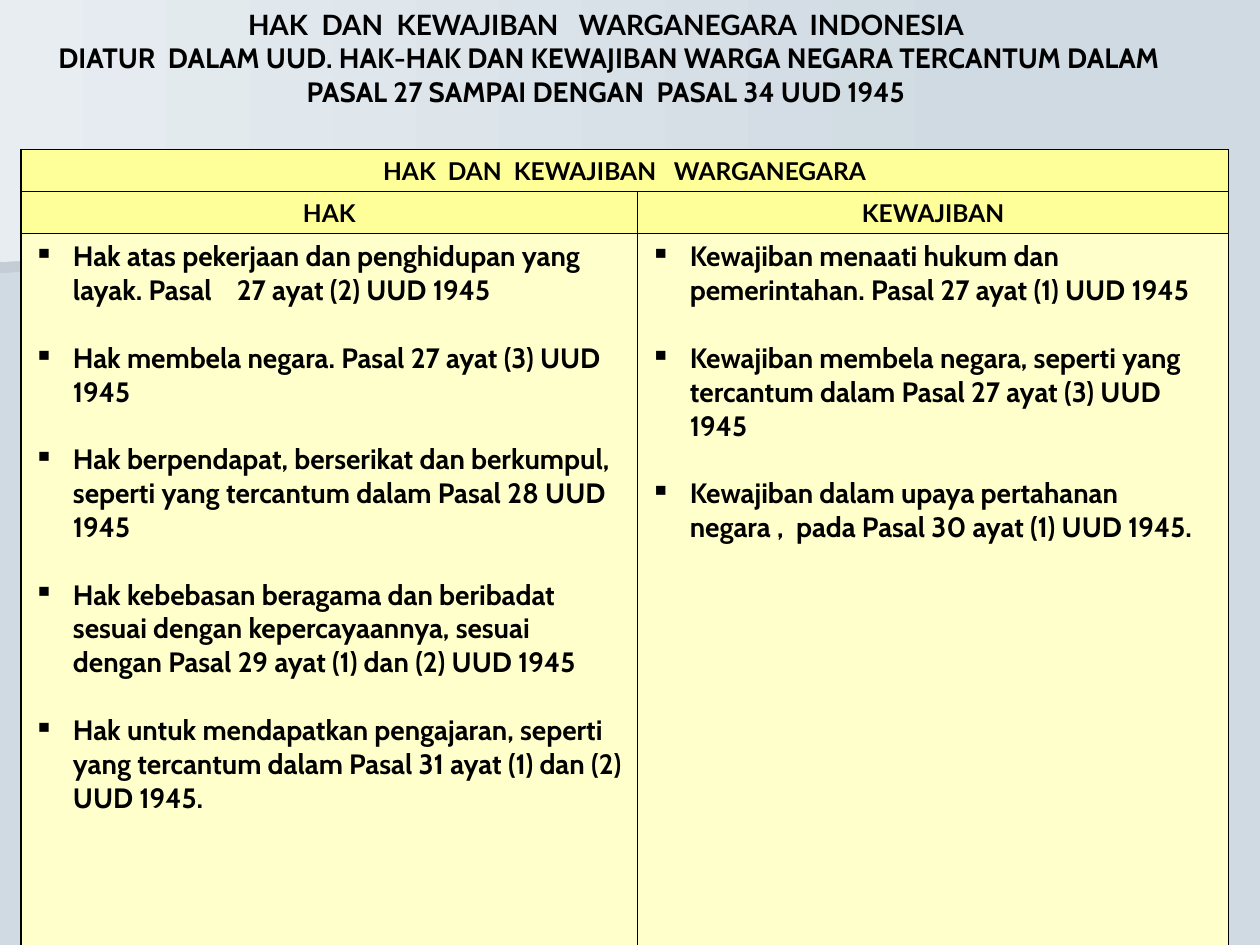
from lxml import etree
from pptx import Presentation
from pptx import util as u
from pptx.dml.color import RGBColor
from pptx.enum import text
from pptx.oxml.ns import qn

Pt = u.Pt
COLORS = {"text": "000000", "page": "D0DAE2", "band_dark": "C4CDD5",
          "band_light": "E7EDF1", "header": "FFFF99", "body": "FFFFCC"}
TITLE = [("HAK  DAN  KEWAJIBAN   WARGANEGARA  INDONESIA ", "Lato"),
         ("DIATUR  DALAM UUD. HAK-HAK DAN KEWAJIBAN WARGA NEGARA TERCANTUM DALAM "
          "PASAL 27 SAMPAI DENGAN  PASAL 34 UUD 1945 ", "Cabin")]
TABLE_HEAD = "HAK  DAN  KEWAJIBAN   WARGANEGARA"
COLUMNS = {
    "HAK": [
        "Hak atas pekerjaan dan penghidupan yang layak. Pasal    27 ayat (2) UUD 1945",
        "Hak membela negara. Pasal 27 ayat (3) UUD 1945",
        "Hak berpendapat, berserikat dan berkumpul, seperti yang tercantum dalam "
        "Pasal 28 UUD 1945",
        "Hak kebebasan beragama dan beribadat sesuai dengan kepercayaannya, "
        "sesuai dengan Pasal 29 ayat (1) dan (2) UUD 1945",
        "Hak untuk mendapatkan pengajaran, seperti yang tercantum dalam "
        "Pasal 31 ayat (1) dan (2) UUD 1945.",
    ],
    "KEWAJIBAN": [
        "Kewajiban menaati hukum dan pemerintahan. Pasal 27 ayat (1) UUD 1945",
        "Kewajiban membela negara, seperti yang tercantum dalam Pasal 27 ayat (3) UUD 1945",
        "Kewajiban dalam upaya pertahanan negara ,  pada Pasal 30 ayat (1) UUD 1945.",
    ],
}
BANDS = [("band_dark", [(0, 72.7), (560.9, 72.7), (560.2, 110.2), (0, 156.2)]),
         ("band_light", [(0, 0), (570.2, 0), (570.2, 116.6), (0, 149.8)])]
COL_WIDTHS = [352.5, 337.5]
ROW_HEIGHTS = [24, 24, 410.4]
OUTER, INNER = 1.08, 0.45
INDENT, ITEM_GAP = 22.5, 19.3


def rgb(name):
    return RGBColor.from_string(COLORS[name])


def add_run(p, words, font, size):
    r = p.add_run()
    r.text = words
    r.font.name, r.font.size, r.font.bold = font, Pt(size), True
    r.font.color.rgb = rgb("text")


def add_band(s, depth, color, points):
    """Draw a fading backdrop shape behind the placeholders."""
    builder = s.shapes.build_freeform(Pt(points[0][0]), Pt(points[0][1]), scale=1.0)
    builder.add_line_segments([(Pt(x), Pt(y)) for x, y in points[1:]], close=True)
    sp = builder.convert_to_shape()
    sp.shadow.inherit = False
    sp.line.fill.background()
    sp.fill.gradient()
    sp.fill.gradient_angle = 0
    for stop, name in zip(sp.fill.gradient_stops, (color, "page")):
        stop.color.rgb = rgb(name)
    s.shapes._spTree.insert(2 + depth, sp._element)


def add_bullet(p):
    pPr = p._p.get_or_add_pPr()
    pPr.set("marL", str(Pt(INDENT)))
    pPr.set("indent", str(-Pt(INDENT)))
    color = etree.SubElement(pPr, qn("a:buClr"))
    etree.SubElement(color, qn("a:srgbClr"), val=COLORS["text"])
    etree.SubElement(pPr, qn("a:buChar"), char="▪")


def style_cell(cell, row, col):
    """Thick lines at the table's edge, thin ones inside, then the fill."""
    tcPr = cell._tc.get_or_add_tcPr()
    edges = {"lnL": col == 0, "lnR": col == len(COL_WIDTHS) - 1,
             "lnT": row == 0, "lnB": row == len(ROW_HEIGHTS) - 1}
    for tag, outer in edges.items():
        ln = etree.SubElement(tcPr, qn("a:" + tag), w=str(Pt(OUTER if outer else INNER)))
        fill = etree.SubElement(ln, qn("a:solidFill"))
        etree.SubElement(fill, qn("a:srgbClr"), val=COLORS["text"])
    cell.fill.solid()
    cell.fill.fore_color.rgb = rgb("header" if row < 2 else "body")


def write_header(cell, words):
    p = cell.text_frame.paragraphs[0]
    p.alignment = text.PP_ALIGN.CENTER
    add_run(p, words, "Lato", 14)


def write_list(cell, items):
    tf = cell.text_frame
    for i, item in enumerate(items):
        p = tf.add_paragraph() if i else tf.paragraphs[0]
        if i:
            p.space_before = Pt(ITEM_GAP)
        add_bullet(p)
        add_run(p, item, "Cabin", 16)


def add_title(s):
    sp = s.shapes.title
    sp.left, sp.top, sp.width, sp.height = Pt(24), Pt(-12), Pt(648), Pt(90)
    tf = sp.text_frame
    tf.word_wrap = True
    tf.auto_size = text.MSO_AUTO_SIZE.NONE
    tf.vertical_anchor = text.MSO_ANCHOR.MIDDLE
    p = tf.paragraphs[0]
    p.alignment = text.PP_ALIGN.CENTER
    for i, (words, font) in enumerate(TITLE):
        if i:
            p.add_line_break()
        add_run(p, words, font, 16)


def add_rights_table(s):
    table = s.shapes.add_table(len(ROW_HEIGHTS), len(COL_WIDTHS), Pt(12), Pt(85.5),
                               Pt(sum(COL_WIDTHS)), Pt(sum(ROW_HEIGHTS))).table
    for column, width in zip(table.columns, COL_WIDTHS):
        column.width = Pt(width)
    for r, height in enumerate(ROW_HEIGHTS):
        table.rows[r].height = Pt(height)
        for c in range(len(COL_WIDTHS)):
            style_cell(table.cell(r, c), r, c)
    table.cell(0, 0).merge(table.cell(0, 1))
    write_header(table.cell(0, 0), TABLE_HEAD)
    for c, (heading, items) in enumerate(COLUMNS.items()):
        write_header(table.cell(1, c), heading)
        write_list(table.cell(2, c), items)


def main():
    prs = Presentation()
    prs.slide_width, prs.slide_height = Pt(720), Pt(540)
    s = prs.slides.add_slide(prs.slide_layouts[5])
    s.background.fill.solid()
    s.background.fill.fore_color.rgb = rgb("page")
    for depth, (color, points) in enumerate(BANDS):
        add_band(s, depth, color, points)
    add_title(s)
    add_rights_table(s)
    prs.save("out.pptx")


if __name__ == "__main__":
    main()
